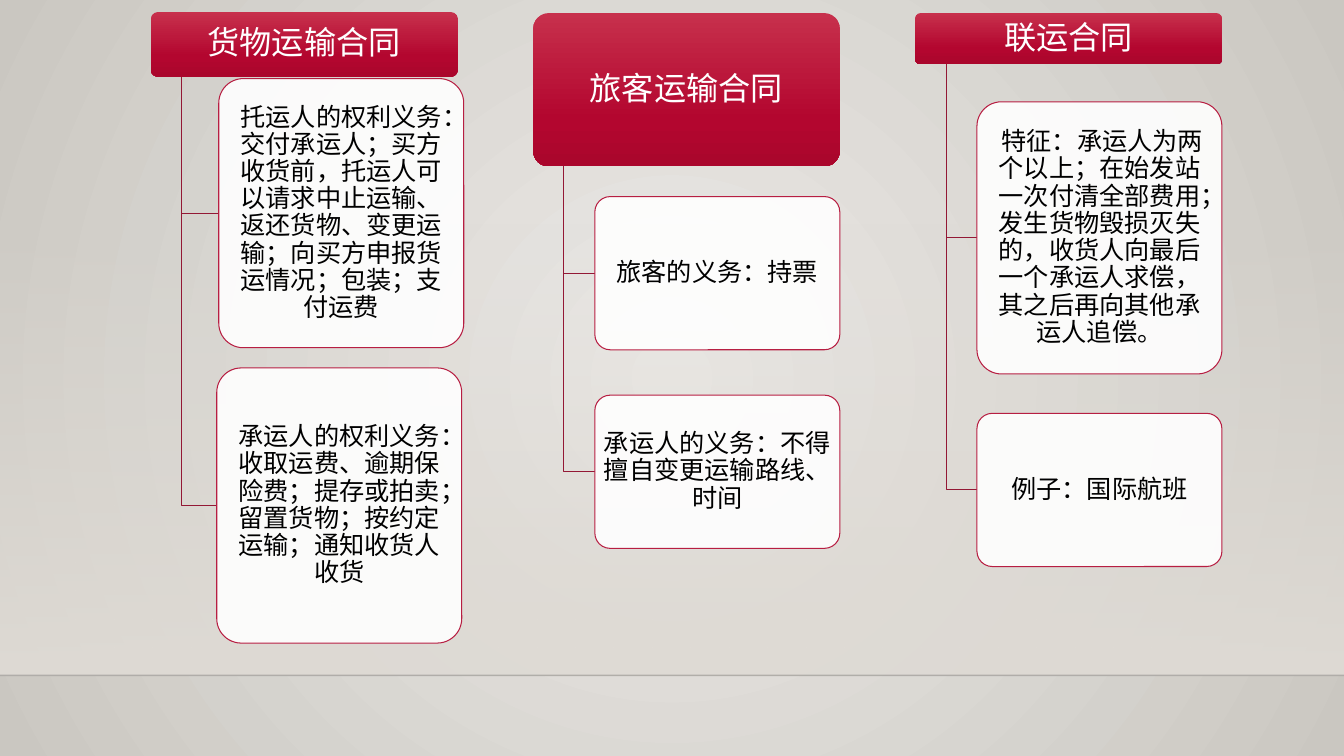
from lxml import etree
from pptx import Presentation
from pptx.dml.color import RGBColor
from pptx.enum.shapes import MSO_CONNECTOR, MSO_SHAPE
from pptx.enum.text import MSO_ANCHOR, PP_ALIGN
from pptx.oxml.ns import qn
from pptx.util import Inches, Pt

STRAIGHT = MSO_CONNECTOR.STRAIGHT
RECTANGLE = MSO_SHAPE.RECTANGLE
ROUNDED = MSO_SHAPE.ROUNDED_RECTANGLE
MIDDLE = MSO_ANCHOR.MIDDLE
CENTER = PP_ALIGN.CENTER

COLORS = {
    "glow": "ECEAE7",
    "edge": "CAC7C1",
    "wall": "DFDBD5",
    "horizon": "000001",
    "header_top": "C7304C",
    "header_mid": "B3062F",
    "header_low": "AA062C",
    "branch": "931835",
    "outline": "B71E42",
    "card": "FFFFFF",
    "header_text": "FFFFFF",
    "card_text": "000000",
}

FIRST_COLUMN = 11.25
COLUMN_STEP = 28.43
HEADER_WIDTH = 22.8
CARD_WIDTH = 18.23
TRUNK_INDENT = 2.28

CONTRACTS = [
    ("货物运输合同", 1.6, 8.53, [
        (5.03, 10.4, 35.6, "托运人的权利义务：交付承运人；买方收货前，托运人可以请求中止运输、"
                           "返还货物、变更运输；向买方申报货运情况；包装；支付运费"),
        (4.88, 48.67, 36.4, "承运人的权利义务：收取运费、逾期保险费；提存或拍卖；"
                            "留置货物；按约定运输；通知收货人收货"),
    ]),
    ("旅客运输合同", 1.73, 20.27, [
        (4.58, 26, 20.27, "旅客的义务：持票"),
        (4.58, 52.27, 20.27, "承运人的义务：不得擅自变更运输路线、时间"),
    ]),
    ("联运合同", 1.73, 6.8, [
        (4.58, 13.47, 36, " 特征：承运人为两个以上；在始发站一次付清全部费用；发生货物毁损灭失的，"
                          "收货人向最后一个承运人求偿，其之后再向其他承运人追偿。"),
        (4.58, 54.67, 20.27, "例子：国际航班"),
    ]),
]


class ContractSlide:
    font = "Cabin"

    def __init__(self, deck):
        self.width, self.height = deck.slide_width, deck.slide_height
        self.slide = deck.slides.add_slide(deck.slide_layouts[6])
        self.shapes = self.slide.shapes

    def x(self, percent):
        return round(self.width * percent / 100)

    def y(self, percent):
        return round(self.height * percent / 100)

    def color(self, name):
        return RGBColor.from_string(COLORS[name])

    def set_alpha(self, element, percent):
        for value in element.iter(qn("a:srgbClr")):
            etree.SubElement(value, qn("a:alpha"), val=str(percent * 1000))

    def gradient(self, fill, owner, stops, radial=False):
        fill.gradient()
        grad = next(owner.iter(qn("a:gradFill")))
        for child in list(grad):
            grad.remove(child)
        stop_list = etree.SubElement(grad, qn("a:gsLst"))
        for position, name, alpha in stops:
            stop = etree.SubElement(stop_list, qn("a:gs"), pos=str(position * 1000))
            etree.SubElement(stop, qn("a:srgbClr"), val=COLORS[name])
            self.set_alpha(stop, alpha)
        if radial:
            spread = etree.SubElement(grad, qn("a:path"), path="circle")
            etree.SubElement(spread, qn("a:fillToRect"),
                             l="50000", t="50000", r="50000", b="50000")
        else:
            etree.SubElement(grad, qn("a:lin"), ang="5400000", scaled="0")

    def backdrop(self):
        self.gradient(self.slide.background.fill, self.slide.element,
                      [(0, "glow", 100), (100, "edge", 100)], radial=True)
        wall = self.box(RECTANGLE, 0, 29.47, 100, 59.87)
        self.gradient(wall.fill, wall.element, [(0, "wall", 0), (100, "wall", 100)])
        floor = self.y(89.33)
        horizon = self.shapes.add_connector(STRAIGHT, 0, floor, self.width, floor)
        horizon.line.color.rgb = self.color("horizon")
        horizon.line.width = Pt(1)
        properties = horizon.element.spPr
        self.set_alpha(properties, 20)
        etree.SubElement(properties, qn("a:effectLst"))

    def box(self, preset, left, top, width, height):
        box = self.shapes.add_shape(preset, self.x(left), self.y(top),
                                    self.x(width), self.y(height))
        box.shadow.inherit = False
        box.line.fill.background()
        if preset == ROUNDED:
            box.adjustments[0] = 0.1
        return box

    def label(self, box, text, size, color, side_inset):
        frame = box.text_frame
        frame.word_wrap = True
        frame.vertical_anchor = MIDDLE
        frame.margin_left = frame.margin_right = Inches(side_inset)
        frame.margin_top = frame.margin_bottom = Inches(0.03)
        frame.text = text
        paragraph = frame.paragraphs[0]
        paragraph.alignment = CENTER
        paragraph.line_spacing = 0.9
        font = paragraph.runs[0].font
        font.name = self.font
        font.size = Pt(size)
        font.color.rgb = self.color(color)

    def header(self, left, top, height, title):
        header = self.box(ROUNDED, left, top, HEADER_WIDTH, height)
        self.gradient(header.fill, header.element, [
            (0, "header_top", 100), (69, "header_mid", 100), (100, "header_low", 100)])
        self.label(header, title, 23, "header_text", 0.05)

    def branch(self, trunk, top, card_left, card_middle):
        start, bend, end = [(self.x(across), self.y(down)) for across, down in
                            [(trunk, top), (trunk, card_middle), (card_left, card_middle)]]
        builder = self.shapes.build_freeform(*start)
        builder.add_line_segments([bend, end], close=False)
        branch = builder.convert_to_shape()
        branch.shadow.inherit = False
        branch.fill.background()
        self.outline(branch, "branch")

    def outline(self, shape, color):
        shape.line.color.rgb = self.color(color)
        shape.line.width = Pt(0.75)

    def card(self, left, top, height, duty):
        card = self.box(ROUNDED, left, top, CARD_WIDTH, height)
        card.fill.solid()
        card.fill.fore_color.rgb = self.color("card")
        self.set_alpha(card.element.spPr, 90)
        self.outline(card, "outline")
        self.label(card, duty, 18, "card_text", 0.04)


def main():
    deck = Presentation()
    deck.slide_width, deck.slide_height = Inches(13.33), Inches(7.5)
    page = ContractSlide(deck)
    page.backdrop()
    for column, (title, top, height, cards) in enumerate(CONTRACTS):
        left = FIRST_COLUMN + column * COLUMN_STEP
        page.header(left, top, height, title)
        for indent, card_top, card_height, duty in cards:
            page.branch(left + TRUNK_INDENT, top + height,
                        left + indent, card_top + card_height / 2)
            page.card(left + indent, card_top, card_height, duty)
    deck.save("out.pptx")


if __name__ == "__main__":
    main()
